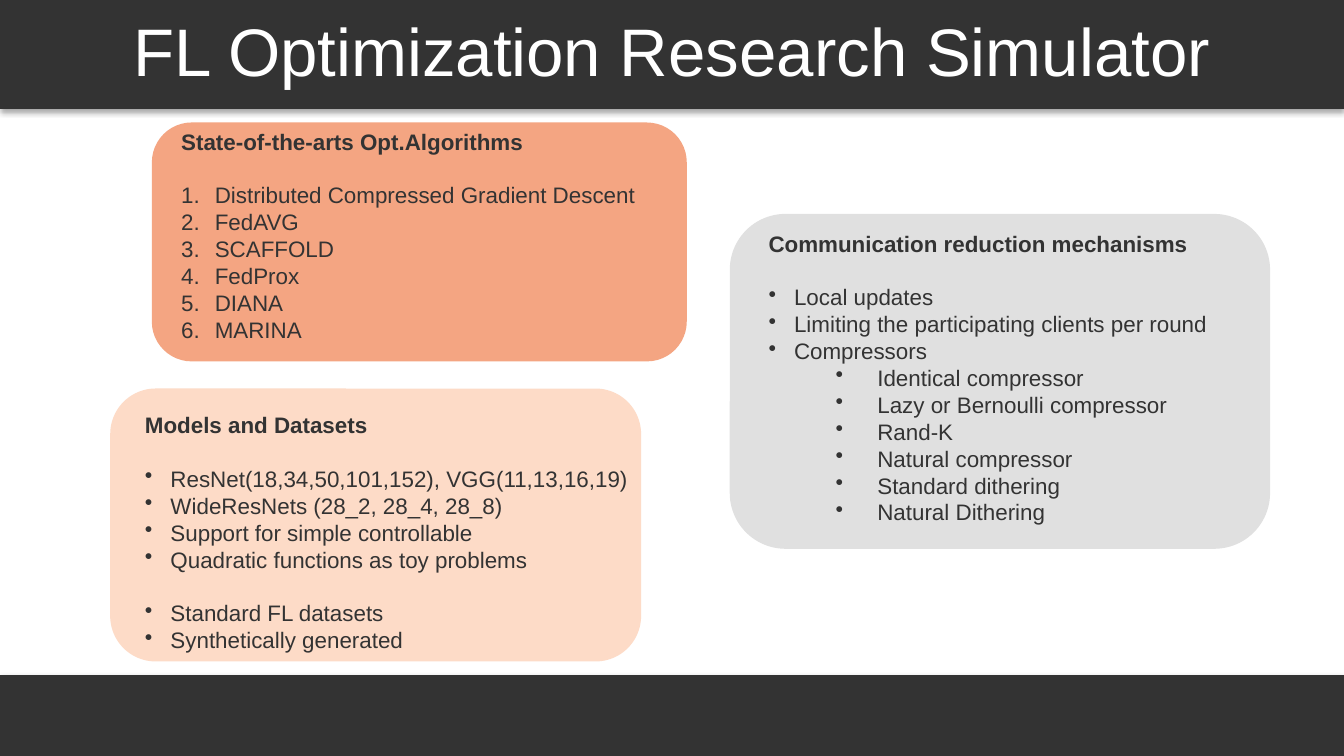
from lxml import etree
from pptx import Presentation
from pptx.dml.color import RGBColor
from pptx.enum.shapes import MSO_SHAPE
from pptx.enum.text import MSO_ANCHOR, MSO_AUTO_SIZE, PP_ALIGN
from pptx.oxml import parse_xml
from pptx.oxml.ns import nsdecls, qn
from pptx.util import Inches, Pt

RECT, ROUNDED = MSO_SHAPE.RECTANGLE, MSO_SHAPE.ROUNDED_RECTANGLE
TOP, MIDDLE = MSO_ANCHOR.TOP, MSO_ANCHOR.MIDDLE
DARK, WHITE = "333333", "FFFFFF"
FONT = "Arial"
LINE = Pt(14.4)

# Bullet styles: level, left indent and hanging indent in inches, bullet
DOT = (0, 0.19, 0.19, "buChar", {"char": "•"})
SUB_DOT = (1, 0.81, 0.31, "buChar", {"char": "•"})
NUMBER = (0, 0.25, 0.25, "buAutoNum", {"type": "arabicPeriod"})

prs = Presentation()
prs.slide_width, prs.slide_height = Inches(10), Inches(5.625)
slide = prs.slides.add_slide(prs.slide_layouts[5])
shapes = slide.shapes


def box(left, top, width, height):
    """Turn percentages of the slide's size into lengths."""
    w, h = prs.slide_width, prs.slide_height
    return [int(share * side / 100)
            for share, side in ((left, w), (top, h), (width, w), (height, h))]


def panel(kind, area, color):
    shape = shapes.add_shape(kind, *box(*area))
    shape.shadow.inherit = False
    shape.fill.solid()
    shape.fill.fore_color.rgb = RGBColor.from_string(color)
    shape.line.fill.background()
    return shape


# Header and footer bands
for area in ((0, -0.18, 100, 14.58), (0, 89.3, 100, 10.7)):
    band = panel(RECT, area, DARK)
    effects = band._element.spPr.find(qn("a:effectLst"))
    effects.append(parse_xml(
        f'<a:outerShdw {nsdecls("a")} blurRad="{Pt(3.1)}" dist="{Pt(1.8)}" '
        'dir="5400000" rotWithShape="0"><a:srgbClr val="000000">'
        '<a:alpha val="35000"/></a:srgbClr></a:outerShdw>'))

# Title, brought in front of the header band
title = shapes.title
shapes._spTree.append(title._element)
title.left, title.top, title.width, title.height = box(0, -0.53, 100, 14.22)
heading = title.text_frame
heading.text = "FL Optimization Research Simulator"
heading.auto_size = MSO_AUTO_SIZE.NONE
heading.vertical_anchor = MIDDLE
heading.paragraphs[0].alignment = PP_ALIGN.CENTER
heading_font = heading.paragraphs[0].runs[0].font
heading_font.name, heading_font.size = FONT, Pt(36)
heading_font.color.rgb = RGBColor.from_string(WHITE)

# Topics: card, colour, text area, top inset, heading, groups of (style, items)
topics = [
    ((54.3, 28.3, 40.2, 44.3), "E0E0E0", (56.2, 28.8, 35.3, 49.4), 0.09,
     "Communication reduction mechanisms",
     [[(DOT, ["Local updates",
              "Limiting the participating clients per round",
              "Compressors"]),
       (SUB_DOT, ["Identical compressor", "Lazy or Bernoulli compressor",
                  "Rand-K", "Natural compressor", "Standard dithering",
                  "Natural Dithering"])]]),
    ((11.3, 16.2, 39.8, 31.6), "F4A582", (12.5, 16.9, 37.4, 31.8), 0,
     "State-of-the-arts Opt.Algorithms",
     [[(NUMBER, ["Distributed Compressed Gradient Descent", "FedAVG",
                 "SCAFFOLD", "FedProx", "DIANA", "MARINA"])]]),
    ((8.2, 51.4, 39.5, 36.1), "FDDBC7", (9.8, 50.5, 44.9, 39.6), 0.22,
     "Models and Datasets",
     [[(DOT, ["ResNet(18,34,50,101,152), VGG(11,13,16,19)",
              "WideResNets (28_2, 28_4, 28_8)",
              "Support for simple controllable",
              "Quadratic functions as toy problems"])],
      [(DOT, ["Standard FL datasets", "Synthetically generated"])]]),
]

for card, color, text_area, inset, topic, groups in topics:
    panel(ROUNDED, card, color)
    frame = shapes.add_textbox(*box(*text_area)).text_frame
    frame.word_wrap = True
    frame.vertical_anchor = TOP
    frame.margin_top = Inches(inset)
    frame.text = topic

    for group in groups:
        opens_group = True
        for (level, indent, hanging, tag, attributes), items in group:
            for item in items:
                entry = frame.add_paragraph()
                entry.text = item
                entry.level = level
                properties = entry._p.get_or_add_pPr()
                properties.set("marL", str(Inches(indent)))
                properties.set("indent", str(-Inches(hanging)))
                etree.SubElement(properties, qn(f"a:{tag}"), attributes)
                if opens_group:
                    entry.space_before = LINE
                    opens_group = False

    for index, paragraph in enumerate(frame.paragraphs):
        paragraph.line_spacing = LINE
        font = paragraph.runs[0].font
        font.name, font.size, font.bold = FONT, Pt(12), index == 0
        font.color.rgb = RGBColor.from_string(DARK)

prs.save("out.pptx")
